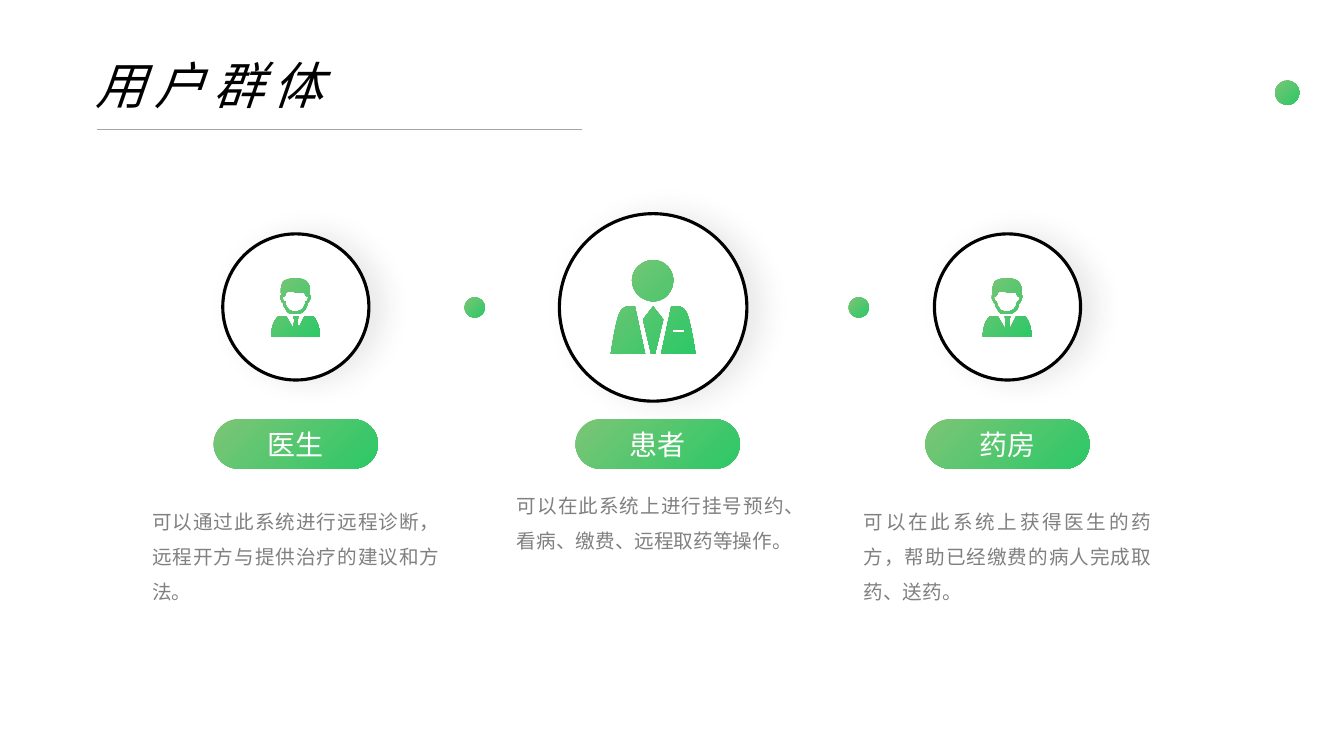
from lxml import etree
from pptx import Presentation
from pptx import util as u
from pptx.dml.color import RGBColor
from pptx.enum import shapes, text
from pptx.oxml import parse_xml
from pptx.oxml.ns import qn, nsdecls

PX = 9144
FONT = "Noto Sans CJK SC"
GREEN = ("7CC576", "2CC867")
TITLE = "用户群体"

WORKER = [
    [(38, 18), (39, 18), (39, 19), (39, 21, 39, 22, 38, 23), (38, 24, 37, 25, 36, 26),
     (36, 28, 35, 30, 34, 32), (33, 33, 31, 35, 29, 36), (28, 36, 26, 36, 24, 36),
     (21, 36, 19, 36, 18, 36), (16, 35, 15, 33, 14, 31), (13, 30, 12, 28, 12, 26),
     (11, 25, 10, 25, 10, 23), (9, 22, 9, 21, 9, 19), (9, 18), (10, 18),
     (9, 10, 10, 8, 12, 4), (18, 0, 30, 0, 35, 4), (39, 8, 39, 12, 38, 18)],
    [(27, 39), (27, 40), (26, 42), (27, 51), (33, 39), (42, 39), (46, 43, 49, 53, 48, 59),
     (0, 59), (0, 54, 1, 44, 7, 39), (15, 39), (22, 51), (23, 42), (22, 40), (22, 39)],
    [(33, 15), (30, 16, 25, 16, 21, 14), (19, 13, 17, 15, 15, 15), (14, 16, 14, 17, 14, 18),
     (13, 19), (12, 19), (12, 19, 12, 20, 11, 20), (11, 21, 12, 22, 12, 23),
     (12, 23, 13, 24, 13, 24), (14, 24), (14, 25), (14, 27, 15, 29, 16, 30),
     (17, 32, 18, 33, 19, 33), (20, 34, 22, 34, 24, 34), (26, 34, 28, 34, 28, 33),
     (30, 33, 31, 32, 32, 30), (33, 29, 34, 27, 34, 25), (34, 24), (35, 24),
     (35, 24, 36, 23, 36, 23), (36, 22, 37, 21, 37, 20), (36, 20, 36, 19, 36, 19),
     (35, 19), (34, 18), (34, 17, 34, 16, 33, 15)],
]
PATIENT = [
    [(42, 41), (53, 41, 62, 32, 62, 20), (62, 9, 53, 0, 42, 0),
     (31, 0, 21, 9, 21, 20), (21, 32, 31, 41, 42, 41)],
    [(8, 54), (4, 65, 0, 93, 0, 93), (34, 93), (24, 46), (17, 46, 12, 44, 8, 54)],
    [(42, 46), (32, 59), (40, 93), (44, 93), (52, 59)],
    [(76, 54), (72, 44, 66, 46, 60, 46), (50, 93), (84, 93), (84, 93, 80, 65, 76, 54)],
    [(73, 72), (61, 72), (61, 69), (73, 69)],
]

ROLES = [
    dict(name="医生", icon=WORKER, icon_box=(269, 275, 49, 59), circle=(221, 232, 145),
         pill_left=212, note=(141, 489, 305, 116),
         body="可以通过此系统进行远程诊断，远程开方与提供治疗的建议和方法。"),
    dict(name="患者", icon=PATIENT, icon_box=(606, 258, 84, 93), circle=(555, 212, 186),
         pill_left=571, note=(503, 473, 305, 81),
         body="可以在此系统上进行挂号预约、看病、缴费、远程取药等操作。"),
    dict(name="药房", icon=WORKER, icon_box=(975, 275, 49, 59), circle=(927, 232, 145),
         pill_left=918, note=(847, 489, 305, 116),
         body="可以在此系统上获得医生的药方，帮助已经缴费的病人完成取药、送药。"),
]
DOTS = [(1265, 80, 24), (461, 295, 20), (842, 295, 20)]
PILL_TOP, PILL_W, PILL_H = 416, 163, 49


def px(*values):
    return [u.Emu(v * PX) for v in values]


def colour(hex_string):
    return RGBColor.from_string(hex_string)


def paint_green(s):
    s.shadow.inherit = False
    s.line.fill.background()
    s.fill.gradient()
    s.fill.gradient_angle = 315
    for stop, position, shade in zip(s.fill.gradient_stops, (0, 1), GREEN):
        stop.position = position
        stop.color.rgb = colour(shade)


def add_run(p, words, size, shade):
    r = p.add_run()
    r.text = words
    r.font.size = u.Pt(size)
    r.font.name = FONT
    r.font.color.rgb = colour(shade)
    r.font._element.set("lang", "zh-CN")
    etree.SubElement(r.font._element, qn("a:ea")).set("typeface", FONT)
    return r


def add_green(kind, left, top, width, height):
    s = sl.shapes.add_shape(kind, *px(left, top, width, height))
    paint_green(s)
    return s


def add_step(path, tag, values=()):
    step = etree.SubElement(path, qn(tag))
    for x, y in zip(values[::2], values[1::2]):
        etree.SubElement(step, qn("a:pt"), x=str(x), y=str(y))


def add_icon(outlines, left, top, width, height):
    builder = sl.shapes.build_freeform(0, 0, scale=PX)
    builder.add_line_segments([(width, 0), (width, height), (0, height)])
    s = builder.convert_to_shape(*px(left, top))
    path = s._element.spPr.find(".//" + qn("a:path"))
    for step in list(path):
        path.remove(step)
    path.set("w", str(width))
    path.set("h", str(height))
    for start, *steps in outlines:
        add_step(path, "a:moveTo", start)
        for step in steps:
            add_step(path, "a:lnTo" if len(step) == 2 else "a:cubicBezTo", step)
        add_step(path, "a:close")
    paint_green(s)


def add_circle(left, top, size):
    s = sl.shapes.add_shape(shapes.MSO_SHAPE.OVAL, *px(left, top, size, size))
    s.fill.solid()
    s.fill.fore_color.rgb = colour("FFFFFF")
    s.line.color.rgb = colour("000000")
    s.line.width = u.Pt(2.25)
    s._element.spPr.append(parse_xml(
        f'<a:effectLst {nsdecls("a")}><a:outerShdw blurRad="{u.Pt(20)}" dist="{u.Pt(10)}" '
        'dir="0" algn="l" rotWithShape="0"><a:srgbClr val="262626"><a:alpha val="10000"/>'
        '</a:srgbClr></a:outerShdw></a:effectLst>'))


def add_pill(left, name):
    s = add_green(shapes.MSO_SHAPE.ROUNDED_RECTANGLE, left, PILL_TOP, PILL_W, PILL_H)
    s.adjustments[0] = 0.5
    tf = s.text_frame
    tf.vertical_anchor = text.MSO_ANCHOR.MIDDLE
    p = tf.paragraphs[0]
    p.alignment = text.PP_ALIGN.CENTER
    add_run(p, name, 20, "FFFFFF")


def add_note(box, body):
    tf = sl.shapes.add_textbox(*px(*box)).text_frame
    tf.word_wrap = True
    tf.auto_size = text.MSO_AUTO_SIZE.SHAPE_TO_FIT_TEXT
    p = tf.paragraphs[0]
    p.alignment = text.PP_ALIGN.JUSTIFY
    p.line_spacing = 1.5
    p._p.get_or_add_pPr().set("hangingPunct", "0")
    add_run(p, body, 14, "808080")


prs = Presentation()
prs.slide_width, prs.slide_height = u.Emu(12192000), u.Inches(7.5)
sl = prs.slides.add_slide(prs.slide_layouts[5])

title = sl.shapes.title
title.left, title.top, title.width, title.height = px(85, 49, 522, 71)
tf = title.text_frame
tf.word_wrap = True
tf.auto_size = text.MSO_AUTO_SIZE.SHAPE_TO_FIT_TEXT
tf.vertical_anchor = text.MSO_ANCHOR.TOP
p = tf.paragraphs[0]
p.alignment = text.PP_ALIGN.LEFT
r = add_run(p, TITLE, 36, "000000")
r.font.italic = True
r.font._element.set("spc", "600")

rule = sl.shapes.add_connector(shapes.MSO_CONNECTOR.STRAIGHT, *px(96, 128, 577, 128))
rule.line.color.rgb = colour("A5A5A5")
rule.line.width = u.Pt(0.5)
etree.SubElement(rule._element.spPr, qn("a:effectLst"))

for left, top, size in DOTS:
    add_green(shapes.MSO_SHAPE.OVAL, left, top, size, size)

for role in ROLES:
    add_circle(*role["circle"])
    add_icon(role["icon"], *role["icon_box"])
    add_note(role["note"], role["body"])
    add_pill(role["pill_left"], role["name"])

prs.save("out.pptx")
